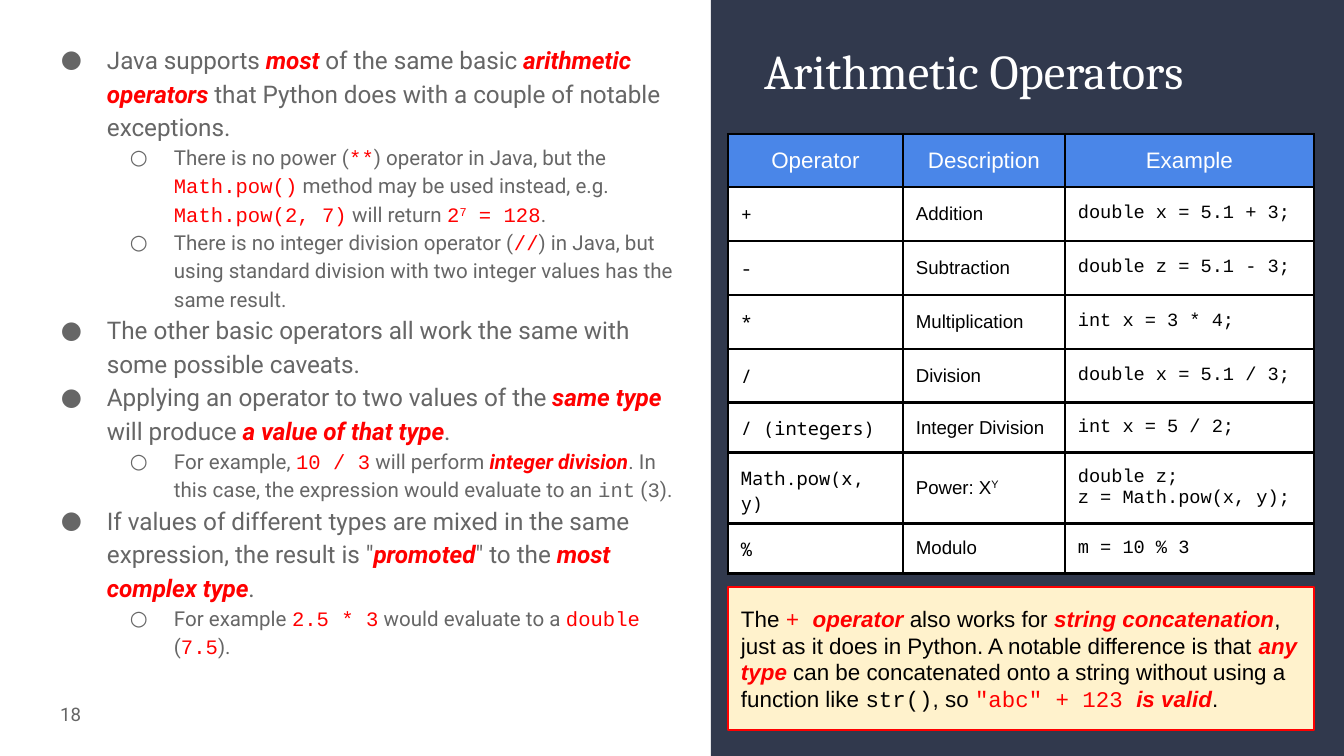
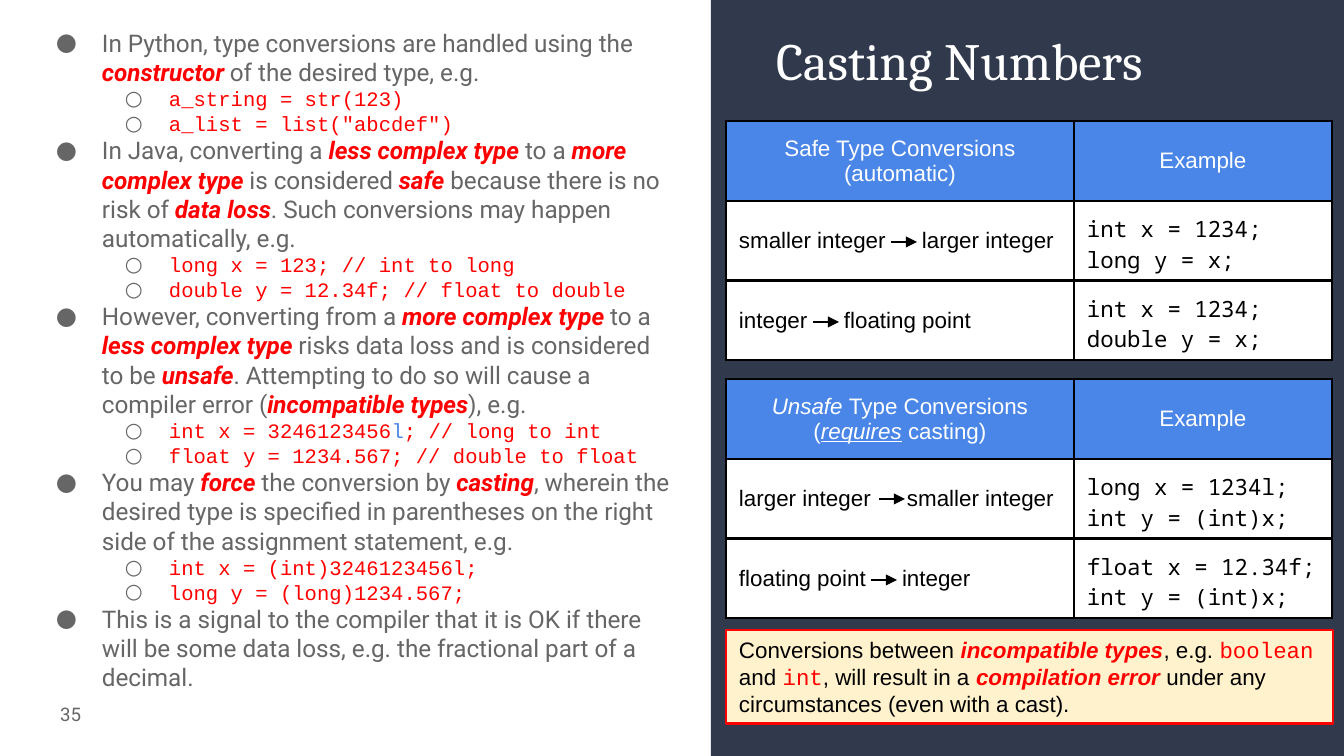
from lxml import etree
from pptx import Presentation
from pptx.dml.color import RGBColor
from pptx.enum.shapes import MSO_CONNECTOR, MSO_SHAPE
from pptx.enum.text import MSO_ANCHOR, PP_ALIGN
from pptx.oxml.ns import qn
from pptx.util import Emu, Pt

LINE = MSO_CONNECTOR.STRAIGHT
RECT = MSO_SHAPE.RECTANGLE
TOP, MID = MSO_ANCHOR.TOP, MSO_ANCHOR.MIDDLE
LEFT, MIDST, RIGHT = PP_ALIGN.LEFT, PP_ALIGN.CENTER, PP_ALIGN.RIGHT

HUES = {
    "navy": "31394D", "gray": "666666", "red": "FF0000", "blue": "4A86E8",
    "cream": "FFF2CC", "white": "FFFFFF", "black": "000000",
}
SANS, BODY, HEAD = "Arial", "Roboto", "Cambria"
CODE, MONO = "Courier New", "Noto Sans Mono"
STYLES = {
    "hot": {"hue": "red", "bold": True, "slant": True},
    "code": {"font": CODE, "hue": "red"},
    "power": {"font": CODE, "hue": "red", "raised": True},
    "mark": {"font": CODE, "hue": "blue"},
    "dim": {"font": CODE},
    "super": {"raised": True},
    "slant": {"slant": True},
    "under": {"slant": True, "under": True},
}
LEVELS = [("●", 67, -46, 13), ("○", 134, -44, 11)]
INSET = 13


def px(count):
    return Emu(round(count * 914400 / 134.4))


def tint(name):
    return RGBColor.from_string(HUES[name])


def node(root, tag, **attrs):
    return etree.SubElement(root, qn(tag), attrs)


def add_runs(para, runs, font, size, hue):
    for item in [runs] if isinstance(runs, str) else runs:
        text, key = (item, None) if isinstance(item, str) else item
        style = STYLES.get(key, {})
        run = para.add_run()
        run.text = text
        run.font.name = style.get("font", font)
        run.font.size = Pt(size)
        run.font.color.rgb = tint(style.get("hue", hue))
        run.font.bold = style.get("bold", False)
        run.font.italic = style.get("slant", False)
        if "under" in style:
            run.font.underline = True
        if "raised" in style:
            run.font._element.set("baseline", "30000")


def add_paras(frame, paras, font, size, hue, align=LEFT):
    for at, runs in enumerate(paras):
        para = frame.paragraphs[0] if at == 0 else frame.add_paragraph()
        para.alignment = align
        add_runs(para, runs, font, size, hue)


def set_frame(frame, anchor):
    frame.word_wrap = True
    frame.vertical_anchor = anchor
    frame.margin_left = frame.margin_right = px(INSET)
    frame.margin_top = frame.margin_bottom = px(INSET)


def add_box(slide, x, y, w, h, anchor=TOP):
    box = slide.shapes.add_textbox(px(x), px(y), px(w), px(h))
    set_frame(box.text_frame, anchor)
    return box.text_frame


def add_rect(slide, x, y, w, h, fill, edge=None):
    rect = slide.shapes.add_shape(RECT, px(x), px(y), px(w), px(h))
    rect.shadow.inherit = False
    rect.fill.solid()
    rect.fill.fore_color.rgb = tint(fill)
    if edge:
        rect.line.color.rgb = tint(edge)
        rect.line.width = Pt(1.5)
    else:
        rect.line.fill.background()
    return rect


def add_page(deck, number, title, x, y, size):
    slide = deck.slides.add_slide(deck.slide_layouts[6])
    add_rect(slide, 711, 0, 633, 756, "navy")
    frame = add_box(slide, 13, 685, 81, 58, MID)
    add_paras(frame, [number], BODY, 10, "gray", RIGHT)
    frame = add_box(slide, x, y, 544, 94)
    add_paras(frame, [title], HEAD, size, "white")
    return slide


def add_list(slide, x, y, w, h, space, items):
    frame = add_box(slide, x, y, w, h)
    for at, (level, runs) in enumerate(items):
        sign, margin, indent, size = LEVELS[level]
        para = frame.paragraphs[0] if at == 0 else frame.add_paragraph()
        para.level = level
        props = para._p.get_or_add_pPr()
        props.set("marL", str(px(margin)))
        props.set("indent", str(px(indent)))
        node(node(props, "a:buClr"), "a:srgbClr", val=HUES["gray"])
        node(props, "a:buFont", typeface=BODY)
        node(props, "a:buChar", char=sign)
        para.line_spacing = space
        add_runs(para, runs, BODY, size, "gray")


def add_note(slide, x, y, w, h, runs):
    rect = add_rect(slide, x, y, w, h, "cream", "red")
    set_frame(rect.text_frame, MID)
    add_paras(rect.text_frame, [runs], SANS, 12, "black")


def set_cell(cell, data, fill, font, size, hue, align):
    cell.margin_left = cell.margin_right = px(INSET)
    cell.margin_top = cell.margin_bottom = px(INSET)
    cell.vertical_anchor = MID
    props = cell._tc.get_or_add_tcPr()
    for side in ("a:lnL", "a:lnR", "a:lnT", "a:lnB"):
        line = node(props, side, w=str(Pt(1.5)))
        node(node(line, "a:solidFill"), "a:srgbClr", val=HUES["black"])
    cell.fill.solid()
    cell.fill.fore_color.rgb = tint(fill)
    paras = [data] if isinstance(data, str) else data
    add_paras(cell.text_frame, paras, font, size, hue, align)


def add_grid(slide, x, y, cols, rows, fonts, size, data):
    shape = slide.shapes.add_table(
        len(rows), len(cols), px(x), px(y), px(sum(cols)), px(sum(rows)))
    table = shape.table
    table.first_row = table.horz_banding = False
    for col, width in zip(table.columns, cols):
        col.width = px(width)
    for row, height in zip(table.rows, rows):
        row.height = px(height)
    for r, line in enumerate(data):
        for c, item in enumerate(line):
            cell = table.cell(r, c)
            if r == 0:
                set_cell(cell, item, "blue", SANS, 12, "white", MIDST)
            else:
                set_cell(cell, item, "white", fonts[c], size, "black", LEFT)
    return table


def add_arrow(slide, x, y):
    arrow = slide.shapes.add_connector(LINE, px(x), px(y), px(x + 26), px(y))
    arrow.line.color.rgb = tint("black")
    arrow.line.width = Pt(0.75)
    props = arrow._element.spPr
    node(arrow.line._get_or_add_ln(), "a:tailEnd", type="triangle")
    node(props, "a:effectLst")


def add_casts(slide, y, stops, data):
    table = add_grid(slide, 726, y, [348, 258], [58] * 3, [SANS, MONO], 12, data)
    for row, stop in enumerate(stops, 1):
        para = table.cell(row, 0).text_frame.paragraphs[0]
        tabs = node(para._p.get_or_add_pPr(), "a:tabLst")
        node(tabs, "a:tab", pos=str(px(stop)), algn="l")


def add_maths(deck):
    slide = add_page(deck, "18", "Arithmetic Operators", 751, 28, 26)
    add_list(slide, 27, 28, 667, 665, 1.15, [
        (0, ["Java supports ", ("most ", "hot"), "of the same basic ",
             ("arithmetic operators ", "hot"),
             "that Python does with a couple of notable exceptions."]),
        (1, ["There is no power (", ("**", "code"),
             ") operator in Java, but the ", ("Math.pow()", "code"),
             " method may be used instead, e.g. ", ("Math.pow(2, 7)", "code"),
             " will return ", ("2", "code"), ("7", "power"),
             (" = 128", "code"), "."]),
        (1, ["There is no integer division operator (", ("//", "code"),
             ") in Java, but using standard division with two integer values "
             "has the same result."]),
        (0, "The other basic operators all work the same with some possible "
            "caveats."),
        (0, ["Applying an operator to two values of the ", ("same type", "hot"),
             " will produce ", ("a value of that type", "hot"), "."]),
        (1, ["For example, ", ("10 / 3", "code"), " will perform ",
             ("integer division", "hot"),
             ". In this case, the expression would evaluate to an ",
             ("int", "dim"), " (", ("3", "dim"), ")."]),
        (0, ["If values of different types are mixed in the same expression, "
             "the result is \"", ("promoted", "hot"), "\" to the ",
             ("most complex type", "hot"), "."]),
        (1, ["For example ", ("2.5 * 3", "code"), " would evaluate to a ",
             ("double ", "code"), "(", ("7.5", "code"), ")."]),
    ])
    add_note(slide, 728, 587, 586, 143, [
        "The ", ("+ ", "code"), ("operator ", "hot"), "also works for ",
        ("string concatenation", "hot"),
        ", just as it does in Python. A notable difference is that ",
        ("any type", "hot"),
        " can be concatenated onto a string without using a function like ",
        ("str()", "dim"), ", so ", ("\"abc\" + 123 ", "code"),
        ("is valid", "hot"), "."])
    rows = [48] + [54] * 4 + [50] * 3
    add_grid(slide, 728, 134, [175, 162, 249], rows, [MONO, SANS, CODE], 10, [
        ["Operator", "Description", "Example"],
        ["+", "Addition", "double x = 5.1 + 3;"],
        ["-", "Subtraction", "double z = 5.1 - 3;"],
        ["*", "Multiplication", "int x = 3 * 4;"],
        ["/", "Division", "double x = 5.1 / 3;"],
        ["/ (integers)", "Integer Division", "int x = 5 / 2;"],
        ["Math.pow(x, y)", [["Power: X", ("Y", "super")]],
         ["double z;", "z = Math.pow(x, y);"]],
        ["%", "Modulo", "m = 10 % 3"],
    ])


def add_types(deck):
    slide = add_page(deck, "35", "Casting Numbers", 763, 15, 28)
    add_list(slide, 22, 15, 665, 689, 1.0, [
        (0, ["In Python, type conversions are handled using the ",
             ("constructor ", "hot"), "of the desired type, e.g."]),
        (1, [("a_string = str(123)", "code")]),
        (1, [("a_list = list(\"abcdef\")", "code")]),
        (0, ["In Java, converting a ", ("less complex type", "hot"), " to a ",
             ("more complex type", "hot"), " is considered ", ("safe", "hot"),
             " because there is no risk of ", ("data loss", "hot"),
             ". Such conversions may happen automatically, e.g."]),
        (1, [("long x = 123; // int to long", "code")]),
        (1, [("double y = 12.34f; // float to double", "code")]),
        (0, ["However, converting from a ", ("more complex type", "hot"),
             " to a ", ("less complex type", "hot"),
             " risks data loss and is considered to be ", ("unsafe", "hot"),
             ". Attempting to do so will cause a compiler error (",
             ("incompatible types", "hot"), "), e.g."]),
        (1, [("int x = 3246123456", "code"), ("l", "mark"),
             ("; // long to int", "code")]),
        (1, [("float y = 1234.567; // double to float", "code")]),
        (0, ["You may ", ("force", "hot"), " the conversion by ",
             ("casting", "hot"),
             ", wherein the desired type is specified in parentheses on the "
             "right side of the assignment statement, e.g."]),
        (1, [("int x = (int)3246123456l;", "code")]),
        (1, [("long y = (long)1234.567;", "code")]),
        (0, "This is a signal to the compiler that it is OK if there will be "
            "some data loss, e.g. the fractional part of a decimal."),
    ])
    add_casts(slide, 121, [183, 105], [
        [["Safe Type Conversions", "(automatic)"], "Example"],
        ["smaller integer\tlarger integer", ["int x = 1234;", "long y = x;"]],
        ["integer\tfloating point", ["int x = 1234;", "double y = x;"]],
    ])
    add_casts(slide, 379, [168, 163], [
        [[[("Unsafe ", "slant"), "Type Conversions"],
          ["(", ("requires", "under"), " casting)"]], "Example"],
        ["larger integer\tsmaller integer",
         ["long x = 1234l;", "int y = (int)x;"]],
        ["floating point\tinteger",
         ["float x = 12.34f;", "int y = (int)x;"]],
    ])
    add_note(slide, 726, 630, 607, 94, [
        "Conversions between ", ("incompatible types", "hot"), ", e.g. ",
        ("boolean ", "code"), "and ", ("int", "code"), ", will result in a ",
        ("compilation error ", "hot"),
        "under any circumstances (even with a cast)."])
    for x, y in [(871, 580), (879, 499), (891, 242), (813, 322)]:
        add_arrow(slide, x, y)


def main():
    deck = Presentation()
    deck.slide_width, deck.slide_height = px(1344), px(756)
    add_maths(deck)
    add_types(deck)
    deck.save("out.pptx")


if __name__ == "__main__":
    main()
